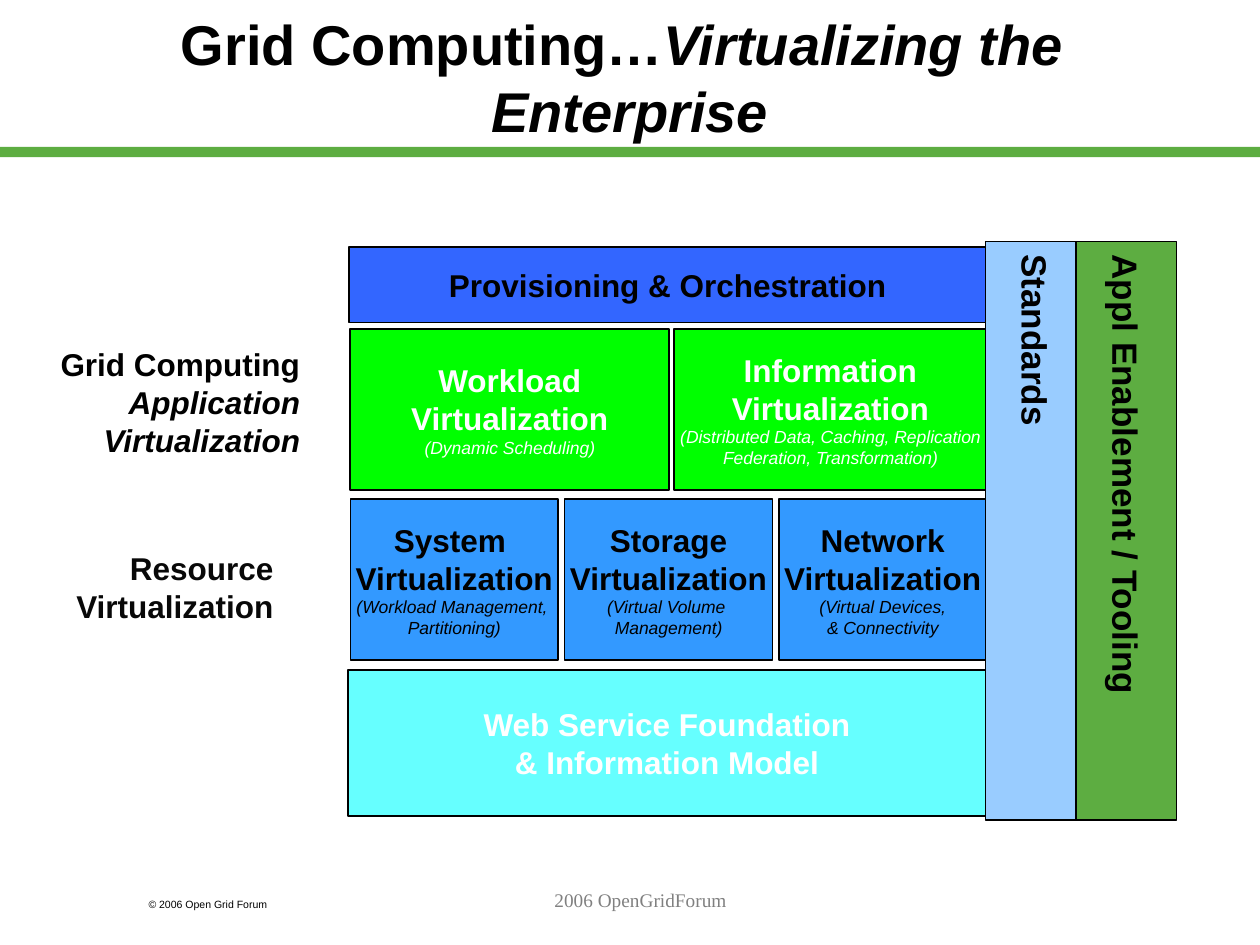
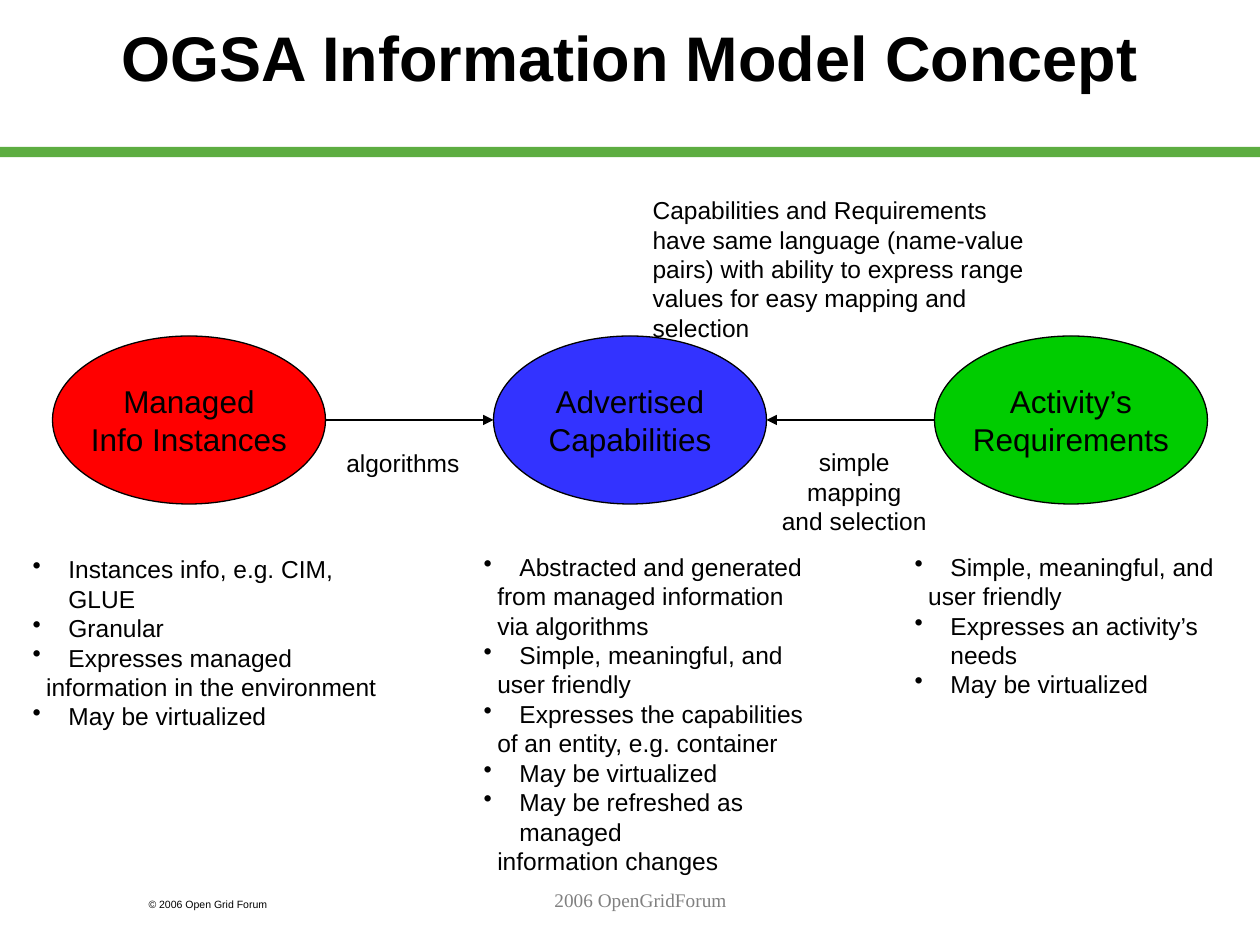
from dataclasses import dataclass

from lxml import etree
from pptx import Presentation
from pptx import util as u
from pptx.dml.color import RGBColor
from pptx.enum import shapes, text
from pptx.oxml.ns import qn


@dataclass(frozen=True)
class Theme:
    sans: str = "Arial"
    serif: str = "Times New Roman"
    black: str = "000000"
    white: str = "FFFFFF"
    ink: str = "080808"
    gray: str = "808080"
    leaf: str = "5DAD41"
    lime: str = "00FF00"
    sky: str = "3399FF"
    blue: str = "3366FF"
    cyan: str = "66FFFF"
    pale: str = "99CCFF"
    red: str = "FF0000"
    deep: str = "3333FF"
    green: str = "00CC00"
    title: int = 36
    long: int = 32
    side: int = 20
    head: int = 18
    body: int = 14
    foot: int = 11
    note: int = 10
    tiny: int = 6


look = Theme()
left, mid, right = text.PP_ALIGN.LEFT, text.PP_ALIGN.CENTER, text.PP_ALIGN.RIGHT
rect, oval = shapes.MSO_SHAPE.RECTANGLE, shapes.MSO_SHAPE.OVAL


def form(page, area, kind=None, fill=None, line=None, wrap=False):
    place = [u.Pt(n) for n in area]
    if kind is None:
        box = page.shapes.add_textbox(*place)
    else:
        box = page.shapes.add_shape(kind, *place)
        box.shadow.inherit = False
        box.fill.solid()
        box.fill.fore_color.rgb = RGBColor.from_string(fill)
        if line:
            box.line.color.rgb = RGBColor.from_string(look.black)
            box.line.width = u.Pt(line)
        else:
            box.line.fill.background()
        box.text_frame.vertical_anchor = text.MSO_ANCHOR.MIDDLE
    box.text_frame.word_wrap = wrap
    return box


def say(box, words, size=look.body, color=look.black, font=look.sans, bold=False,
        slant=False, align=left, join=False, bullet=False, inset=0, space=None):
    frame = box.text_frame
    for row in words.split("\n"):
        para = frame.paragraphs[-1]
        if para.runs and not join:
            para = frame.add_paragraph()
        join = False
        para.alignment = align
        if space:
            para.line_spacing = space
        if inset:
            prop = para._p.get_or_add_pPr()
            prop.set("marL", str(u.Pt(inset)))
            prop.set("indent", str(u.Pt(-inset if bullet else 0)))
            if bullet:
                etree.SubElement(prop, qn("a:buChar")).set("char", "•")
        run = para.add_run()
        run.text = row
        run.font.name = font
        run.font.size = u.Pt(size)
        run.font.bold = bold
        run.font.italic = slant
        run.font.color.rgb = RGBColor.from_string(color)


deck = Presentation()
deck.slide_width, deck.slide_height = u.Pt(720), u.Pt(540)
grid, model = [deck.slides.add_slide(deck.slide_layouts[6]) for _ in range(2)]

for page in (grid, model):
    form(page, (0, 84, 720, 5.8), rect, look.leaf)
    say(form(page, (77.8, 509.8, 108, 14.4), wrap=True), "© 2006 Open Grid Forum", size=look.tiny)
    say(form(page, (156, 504, 420, 36), wrap=True), "2006 OpenGridForum",
        size=look.foot, color=look.gray, font=look.serif, align=mid)

title = form(grid, (0, 0, 720, 87.8), wrap=True)
title.text_frame.vertical_anchor = text.MSO_ANCHOR.MIDDLE
style = dict(size=look.long, bold=True, align=mid)
say(title, "Grid Computing…", **style)
say(title, "Virtualizing the \nEnterprise", slant=True, join=True, **style)

style = dict(size=look.head, bold=True, align=right)
say(form(grid, (36, 310.3, 127.4, 50.4)), "Resource\nVirtualization", color=look.ink, **style)
label = form(grid, (0, 193.7, 178.6, 72), wrap=True)
say(label, "Grid Computing", **style)
say(label, "Application\nVirtualization", slant=True, **style)

start, high = 200.2, 92.2
tiles = [
    ((198.7, 383, 365, 83.5), look.cyan, look.white, "Web Service Foundation\n& Information Model", ""),
    ((start, 187.9, 182.2, high), look.lime, look.white, "Workload\nVirtualization", "(Dynamic Scheduling)"),
    ((385.2, 187.9, 178.6, high), look.lime, look.white, "Information\nVirtualization",
     "(Distributed Data, Caching, Replication\nFederation, Transformation)"),
    ((199.4, 141.1, 364.3, 43.2), look.blue, look.black, "Provisioning & Orchestration", ""),
]
parts = [
    ("System \nVirtualization", "(Workload Management, \nPartitioning)"),
    ("Storage\nVirtualization", "(Virtual Volume \nManagement)"),
    ("Network\nVirtualization", "(Virtual Devices,\n& Connectivity"),
]
for i, (head, note) in enumerate(parts):
    tiles.append(((start + 122.4 * i, 285.1, 118.8, high), look.sky, look.black, head, note))
for area, fill, color, head, note in tiles:
    tile = form(grid, area, rect, fill, 1)
    say(tile, head, size=look.head, color=color, bold=True, align=mid)
    if note:
        say(tile, note, size=look.note, color=color, slant=True, align=mid)

for x, fill, words in [(563, look.pale, "Standards"), (614.9, look.leaf, "Appl Enablement / Tooling")]:
    side = form(grid, (x, 138.2, 57.6, 330.5), rect, fill, 0.75)
    frame = side.text_frame
    frame.margin_left = frame.margin_right = u.Pt(3.6)
    frame.margin_top = frame.margin_bottom = u.Pt(7.2)
    side.element.txBody.bodyPr.set("vert", "eaVert")
    say(side, words, size=look.side, bold=True, align=mid)

title = form(model, (54, 12, 612, 48), wrap=True)
title.text_frame.vertical_anchor = text.MSO_ANCHOR.MIDDLE
say(title, "OGSA Information Model Concept", size=look.title, bold=True, align=mid, space=0.8)

stages = [
    (look.red, "Managed\nInfo Instances"),
    (look.deep, "Advertised\nCapabilities"),
    (look.green, "Activity’s\nRequirements"),
]
for i, (fill, words) in enumerate(stages):
    say(form(model, (30 + 252 * i, 192, 156, 96), oval, fill, 0.75), words, size=look.head, align=mid)

for tail, tip in [(186, 282), (534, 438)]:
    arrow = model.shapes.add_connector(shapes.MSO_CONNECTOR.STRAIGHT, u.Pt(tail), u.Pt(240), u.Pt(tip), u.Pt(240))
    arrow.line.color.rgb = RGBColor.from_string(look.black)
    arrow.line.width = u.Pt(1)
    etree.SubElement(arrow.line._get_or_add_ln(), qn("a:tailEnd")).set("type", "triangle")
    etree.SubElement(arrow.element.spPr, qn("a:effectLst"))

say(form(model, (190.8, 252.7, 79.2, 24.5)), "algorithms")
say(form(model, (432, 252, 112.3, 41)), "simple mapping\nand selection", align=mid)
say(form(model, (365.8, 108, 252.7, 74.9)),
    "Capabilities and Requirements\nhave same language (name-value\n"
    "pairs) with ability to express range\nvalues for easy mapping and selection")

lists = [
    ((11.5, 313.2, 216.7, 91.4), [
        "Instances info, e.g. CIM, GLUE",
        "Granular",
        "Expresses managed\ninformation in the environment",
        "May be virtualized",
    ]),
    ((269.3, 311.8, 213.1, 175.7), [
        "Abstracted and generated\nfrom managed information\nvia algorithms",
        "Simple, meaningful, and\nuser friendly",
        "Expresses the capabilities\nof an entity, e.g. container",
        "May be virtualized",
        "May be refreshed as managed\ninformation changes",
    ]),
    ((515.5, 311.8, 207.4, 74.9), [
        "Simple, meaningful, and\nuser friendly",
        "Expresses an activity’s needs",
        "May be virtualized",
    ]),
]
for area, points in lists:
    box = form(model, area, wrap=True)
    for point in points:
        first, *rest = point.split("\n")
        say(box, first, bullet=True, inset=20.5)
        for row in rest:
            say(box, row, inset=7.8)

deck.save("out.pptx")
